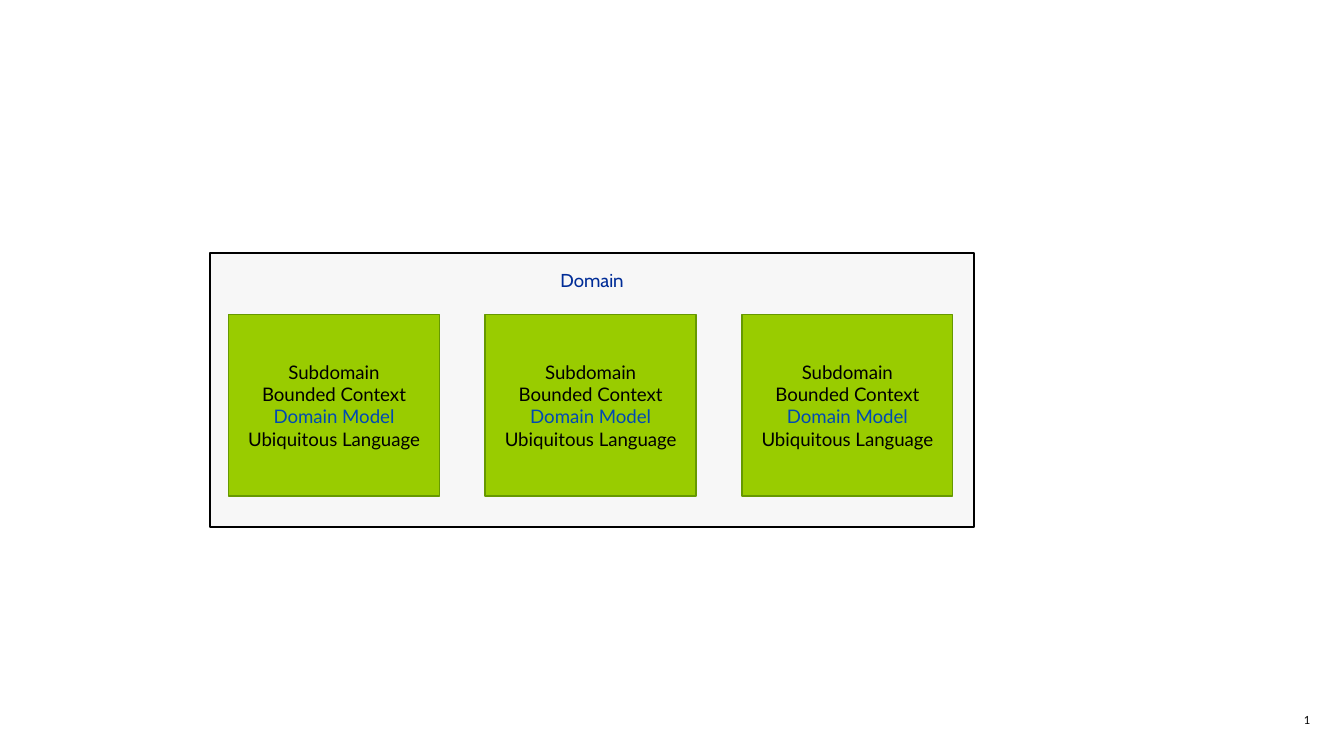
from dataclasses import dataclass

from pptx import Presentation
from pptx.dml.color import RGBColor as Rgb
from pptx.enum.shapes import MSO_SHAPE as Shape
from pptx.enum.text import MSO_ANCHOR as Anchor, PP_ALIGN as Align
from pptx.util import Inches, Pt


@dataclass(frozen=True)
class Theme:
    ink: str = "000000"
    heading: str = "002C97"
    accent: str = "0049B4"
    domain_fill: str = "F7F7F7"
    context_fill: str = "99CC00"
    context_line: str = "669900"
    body_font: str = "Lato"
    heading_font: str = "Cabin"
    text_size: float = 10
    number_size: float = 6


THEME = Theme()

# A 16:9 slide and its grid, in inches
WIDTH = 10
HEIGHT = WIDTH * 9 / 16
DOMAIN = (1.56, 1.88, 5.69, 2.04)
COLUMNS = 3
FIRST_LEFT, CONTEXT_TOP = 1.7, 2.34
CONTEXT_WIDTH, CONTEXT_HEIGHT = 1.57, 1.35
COLUMN_STEP = 1.91

CONTEXT_LINES = [
    ("Subdomain", THEME.ink),
    ("Bounded Context", THEME.ink),
    ("Domain Model", THEME.accent),
    ("Ubiquitous Language", THEME.ink),
]


def write_lines(frame, lines, font, size, align, margins=(0.1, 0.05)):
    """Fill a text frame with one paragraph per (text, colour) pair."""
    frame.word_wrap = True
    frame.vertical_anchor = Anchor.MIDDLE
    frame.margin_left = frame.margin_right = Inches(margins[0])
    frame.margin_top = frame.margin_bottom = Inches(margins[1])
    for index, (text, color) in enumerate(lines):
        para = frame.add_paragraph() if index else frame.paragraphs[0]
        para.text = text
        para.alignment = align
        para.font.name = font
        para.font.size = Pt(size)
        para.font.color.rgb = Rgb.from_string(color)


def add_box(page, place, fill, line, weight):
    box = page.shapes.add_shape(Shape.RECTANGLE, *map(Inches, place))
    box.shadow.inherit = False
    box.fill.solid()
    box.fill.fore_color.rgb = Rgb.from_string(fill)
    box.line.color.rgb = Rgb.from_string(line)
    box.line.width = Pt(weight)
    return box


def add_label(page, place, text, color, font, size, align, **options):
    label = page.shapes.add_textbox(*map(Inches, place))
    write_lines(label.text_frame, [(text, color)], font, size, align, **options)


def add_context(page, column):
    left = FIRST_LEFT + column * COLUMN_STEP
    place = (left, CONTEXT_TOP, CONTEXT_WIDTH, CONTEXT_HEIGHT)
    box = add_box(page, place, THEME.context_fill, THEME.context_line, 0.75)
    write_lines(box.text_frame, CONTEXT_LINES, THEME.body_font,
                THEME.text_size, Align.CENTER, margins=(0.07, 0.04))


def main():
    deck = Presentation()
    deck.slide_width, deck.slide_height = Inches(WIDTH), Inches(HEIGHT)
    page = deck.slides.add_slide(deck.slide_layouts[6])

    # Page number
    add_label(page, (7.5, 5.28, 2.25, 0.15), "1", THEME.ink, THEME.body_font,
              THEME.number_size, Align.RIGHT, margins=(0, 0))

    # Domain with its bounded contexts
    add_box(page, DOMAIN, THEME.domain_fill, THEME.ink, 1)
    for column in range(COLUMNS):
        add_context(page, column)

    # Domain heading
    left, top, width, _ = DOMAIN
    add_label(page, (left, top + 0.07, width, 0.27), "Domain", THEME.heading,
              THEME.heading_font, THEME.text_size, Align.CENTER)

    deck.save("out.pptx")


if __name__ == "__main__":
    main()
